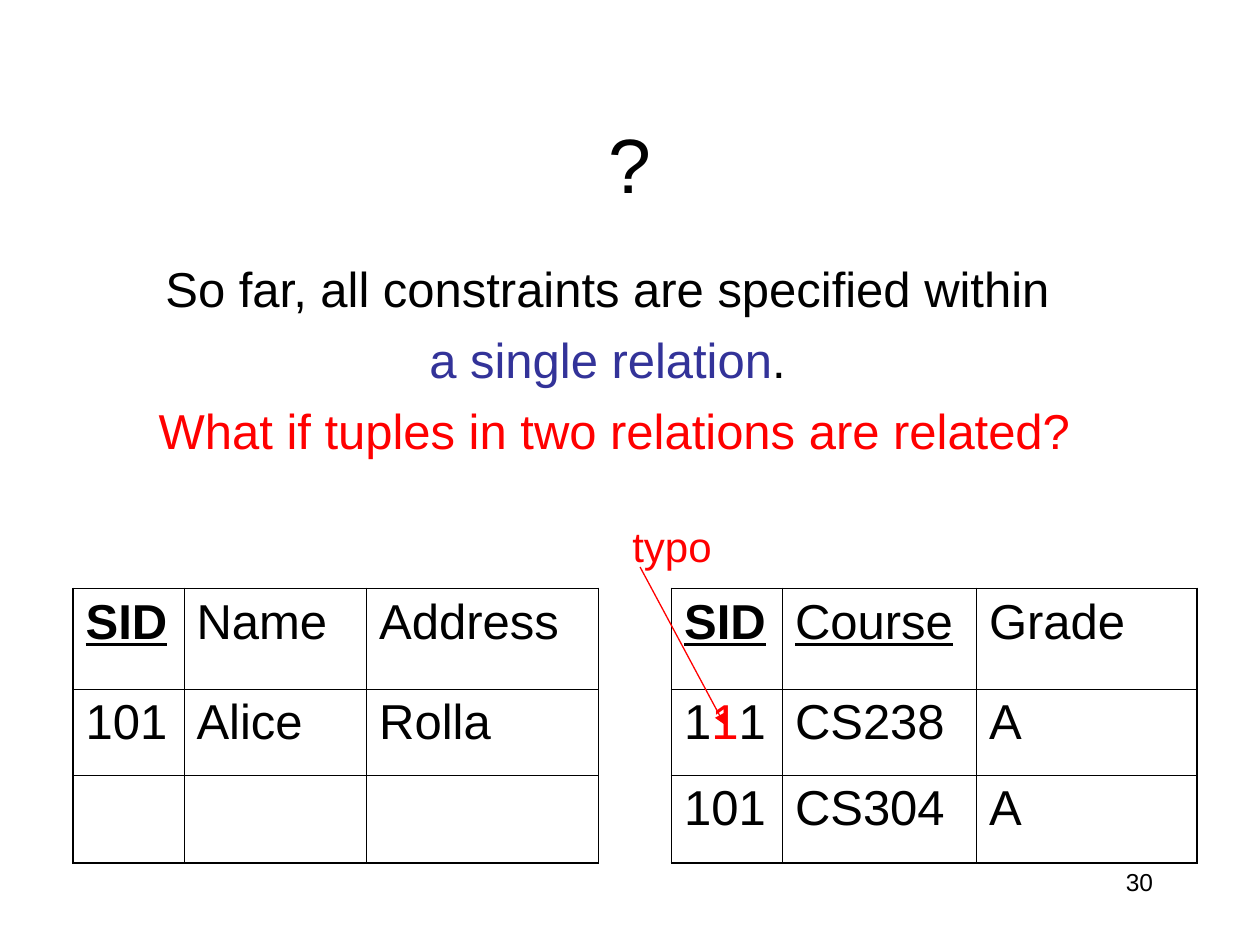
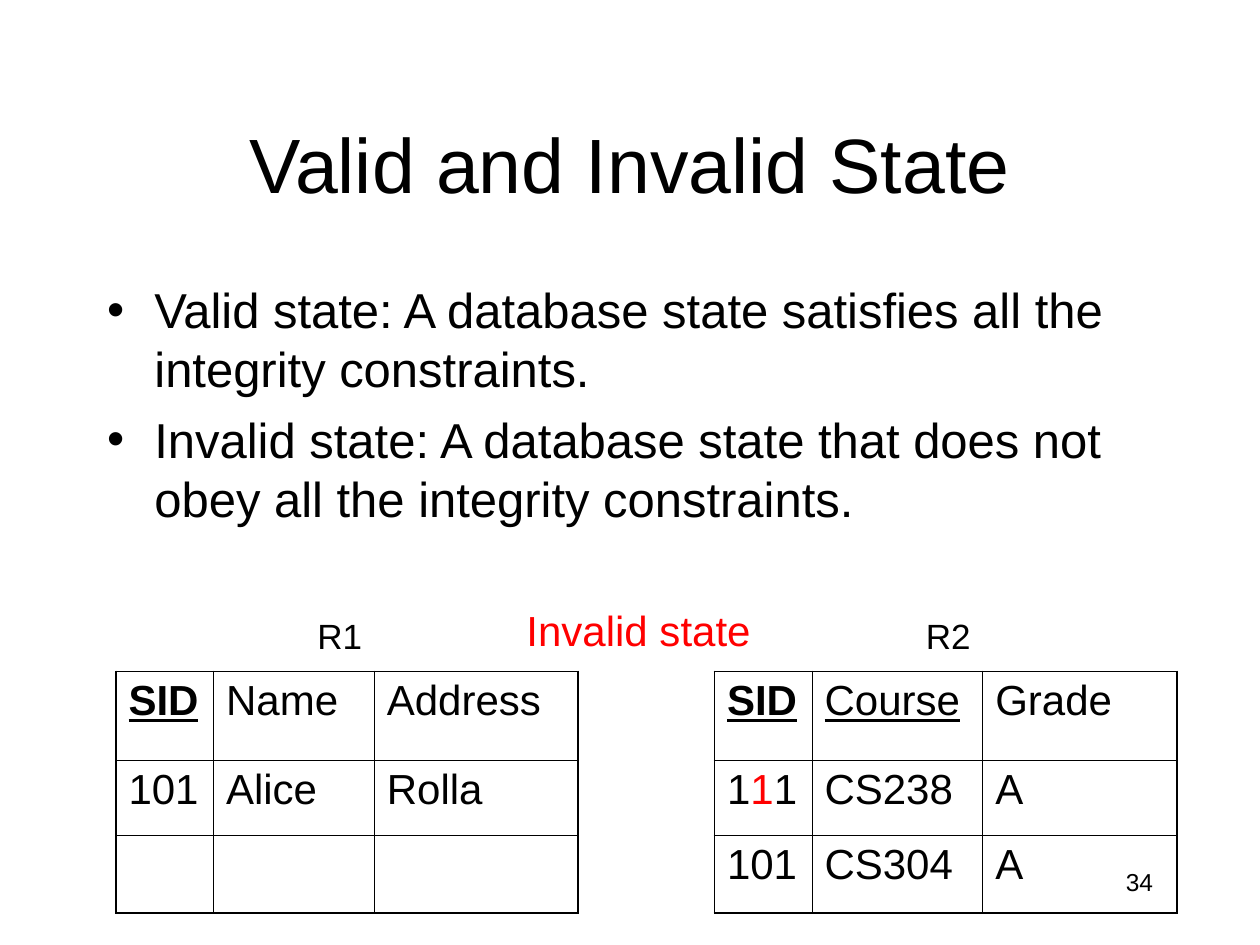
from dataclasses import dataclass

from lxml import etree
from pptx import Presentation
from pptx import util as u
from pptx.dml.color import RGBColor
from pptx.enum import shapes, text
from pptx.oxml.ns import qn


@dataclass(frozen=True)
class Theme:
    font: str = "Arial"
    ink: str = "000000"
    accent: str = "333399"
    alert: str = "FF0000"
    title: int = 44
    body: int = 28
    label: int = 24
    caption: int = 20
    page_number: int = 14
    outer_border: float = 1.08
    inner_border: float = 0.45


THEME = Theme()


@dataclass(frozen=True)
class Span:
    """A stretch of text whose look differs from its paragraph."""
    words: str
    color: str = ""
    bold: bool = False
    underline: bool = False


KEY = Span("SID", bold=True, underline=True)
STUDENTS = [[KEY, "Name", "Address"],
            ["101", "Alice", "Rolla"],
            ["", "", ""]]
ENROLMENTS = [[KEY, Span("Course", underline=True), "Grade"],
              [["1", Span("1", color=THEME.alert), "1"], "CS238", "A"],
              ["101", "CS304", "A"]]
STUDENT_COLUMNS = (0.88, 1.45, 1.84)
ENROLMENT_COLUMNS = (0.88, 1.54, 1.75)
TABLE_ROWS = (0.8, 0.68, 0.7)


def place(shape, left, top, width, height):
    shape.left, shape.top = u.Inches(left), u.Inches(top)
    shape.width, shape.height = u.Inches(width), u.Inches(height)


def write(paragraph, content, size, color=THEME.ink, align=None):
    """Fill a paragraph from a string, a Span, or a list of both."""
    font = paragraph.font
    font.name, font.size = THEME.font, u.Pt(size)
    font.color.rgb = RGBColor.from_string(color)
    if align is not None:
        paragraph.alignment = align
    for part in content if isinstance(content, list) else [content]:
        span = part if isinstance(part, Span) else Span(part)
        if not span.words:
            continue
        run = paragraph.add_run()
        run.text = span.words
        if span.color:
            run.font.color.rgb = RGBColor.from_string(span.color)
        if span.bold:
            run.font.bold = True
        if span.underline:
            run.font.underline = True


def add_titled_slide(deck, title):
    slide = deck.slides.add_slide(deck.slide_layouts[1])
    heading = slide.shapes.title
    place(heading, 0.75, 0.67, 8.5, 1.25)
    heading.text_frame.auto_size = text.MSO_AUTO_SIZE.NONE
    heading.text_frame.vertical_anchor = text.MSO_ANCHOR.MIDDLE
    write(heading.text_frame.paragraphs[0], title, THEME.title,
          align=text.PP_ALIGN.CENTER)
    return slide


def fill_body(slide, box, statements, bulleted=True):
    body = slide.placeholders[1]
    place(body, *box)
    frame = body.text_frame
    frame.auto_size = text.MSO_AUTO_SIZE.NONE
    for index, statement in enumerate(statements):
        paragraph = frame.add_paragraph() if index else frame.paragraphs[0]
        paragraph.space_before = u.Pt(7)
        write(paragraph, statement, THEME.body,
              align=None if bulleted else text.PP_ALIGN.CENTER)
        if not bulleted:
            properties = paragraph._p.get_or_add_pPr()
            properties.find(qn("a:defRPr")).addprevious(
                etree.Element(qn("a:buNone")))


def add_label(slide, words, box, size, color=THEME.ink, align=None):
    label = slide.shapes.add_textbox(*map(u.Inches, box))
    label.text_frame.word_wrap = True
    write(label.text_frame.paragraphs[0], words, size, color, align)


def add_page_number(slide, number):
    add_label(slide, number, (7.17, 6.83, 2.08, 0.5), THEME.page_number,
              align=text.PP_ALIGN.RIGHT)


def set_borders(cell, outer_sides):
    """Draw thick lines on the sides at the table's edge, thin ones elsewhere."""
    properties = cell._tc.get_or_add_tcPr()
    for side in "LRTB":
        width = THEME.outer_border if side in outer_sides else THEME.inner_border
        line = etree.SubElement(properties, qn(f"a:ln{side}"), w=str(u.Pt(width)))
        fill = etree.SubElement(line, qn("a:solidFill"))
        etree.SubElement(fill, qn("a:srgbClr"), val=THEME.ink)


def add_relation(slide, rows, columns, left, top, size, scale=1):
    widths = [width * scale for width in columns]
    heights = [height * scale for height in TABLE_ROWS]
    relation = slide.shapes.add_table(
        len(rows), len(widths), u.Inches(left), u.Inches(top),
        u.Inches(sum(widths)), u.Inches(sum(heights))).table
    relation.first_row = relation.horz_banding = False
    for column, width in zip(relation.columns, widths):
        column.width = u.Inches(width)
    for row, height in zip(relation.rows, heights):
        row.height = u.Inches(height)
    last_row, last_column = len(rows) - 1, len(widths) - 1
    for r, values in enumerate(rows):
        for c, value in enumerate(values):
            cell = relation.cell(r, c)
            edges = {"L": c == 0, "R": c == last_column,
                     "T": r == 0, "B": r == last_row}
            set_borders(cell, [side for side, outer in edges.items() if outer])
            cell.fill.background()
            write(cell.text_frame.paragraphs[0], value, size)


def add_arrow(slide, start, end, color):
    arrow = slide.shapes.add_connector(
        shapes.MSO_CONNECTOR.STRAIGHT, *map(u.Inches, start + end))
    arrow.line.color.rgb = RGBColor.from_string(color)
    arrow.line.width = u.Pt(0.75)
    etree.SubElement(arrow.line._get_or_add_ln(), qn("a:tailEnd"), type="triangle")
    etree.SubElement(arrow._element.spPr, qn("a:effectLst"))


def build_question(deck):
    slide = add_titled_slide(deck, "?")
    fill_body(slide, (0.5, 2, 8.75, 2.17), [
        "So far, all constraints are specified within ",
        [Span("a single relation", color=THEME.accent), ". "],
        Span("What if tuples in two relations are related?", color=THEME.alert),
    ], bulleted=False)
    add_relation(slide, STUDENTS, STUDENT_COLUMNS, 0.58, 4.67, THEME.body)
    add_relation(slide, ENROLMENTS, ENROLMENT_COLUMNS, 5.33, 4.67, THEME.body)
    add_arrow(slide, (5.08, 4.5), (5.75, 5.75), THEME.alert)
    add_label(slide, "typo", (4.92, 4.08, 1.17, 0.5), THEME.label, THEME.alert)
    add_page_number(slide, "30")


def build_states(deck):
    slide = add_titled_slide(deck, "Valid and Invalid State")
    fill_body(slide, (0.75, 2.17, 8.5, 4.5), [
        "Valid state: A database state satisfies all the integrity constraints.",
        "Invalid state: A database state that does not obey all the integrity "
        "constraints.",
    ])
    add_relation(slide, STUDENTS, STUDENT_COLUMNS, 0.92, 5.33, THEME.label, 0.88)
    add_relation(slide, ENROLMENTS, ENROLMENT_COLUMNS, 5.67, 5.33, THEME.label, 0.88)
    for name, left in (("R1", 2.42), ("R2", 7.25)):
        add_label(slide, name, (left, 4.83, 0.73, 0.44), THEME.caption)
    add_label(slide, "Invalid state", (4.08, 4.75, 2.25, 0.5), THEME.label,
              THEME.alert)
    add_page_number(slide, "34")


def main():
    deck = Presentation()
    deck.slide_width, deck.slide_height = u.Inches(10), u.Inches(7.5)
    build_question(deck)
    build_states(deck)
    deck.save("out.pptx")


if __name__ == "__main__":
    main()
